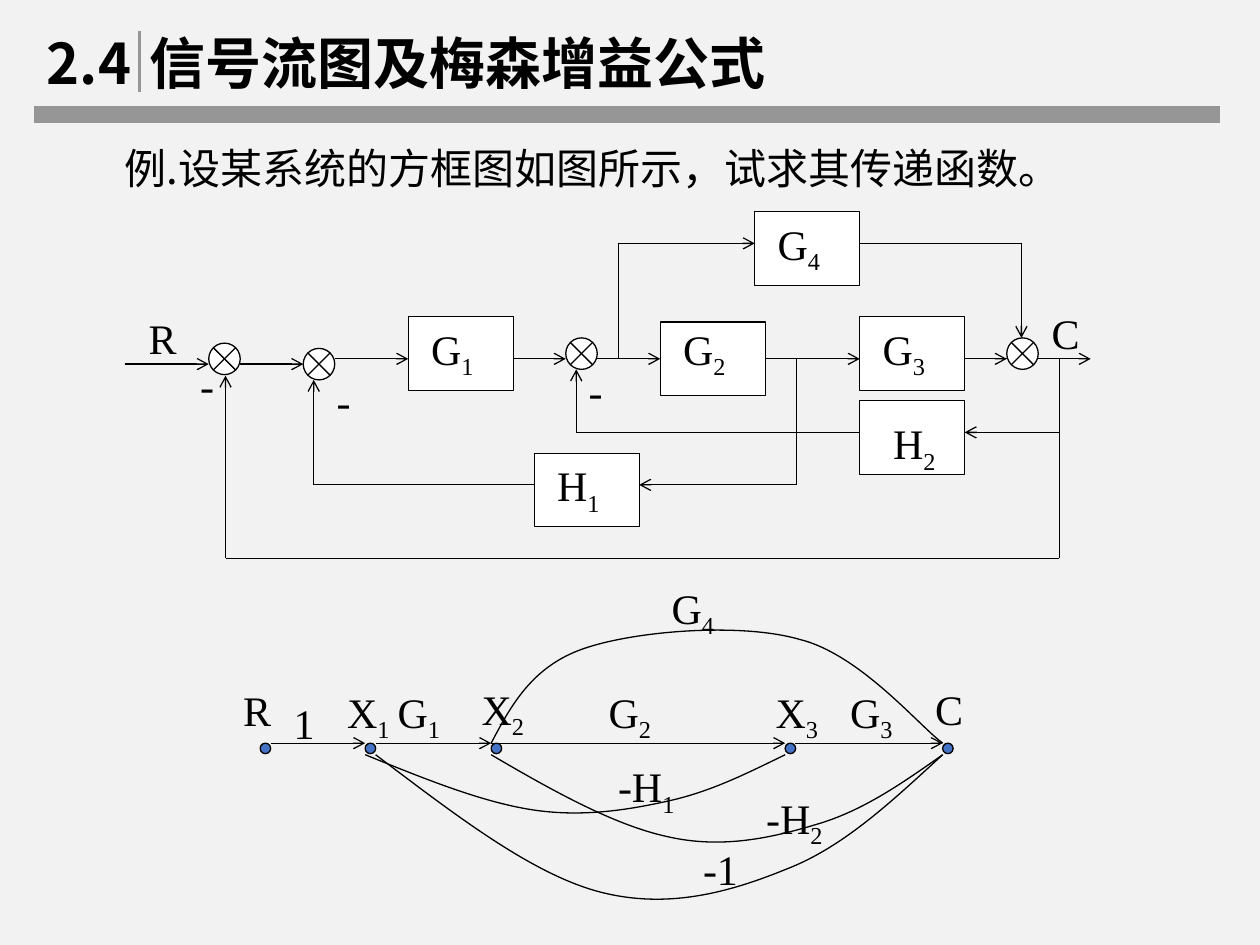
from lxml import etree
from pptx import Presentation
from pptx.dml.color import RGBColor
from pptx.enum.shapes import MSO_CONNECTOR, MSO_SHAPE
from pptx.enum.text import MSO_ANCHOR, MSO_AUTO_SIZE
from pptx.oxml.ns import qn
from pptx.util import Inches, Pt

STRAIGHT = MSO_CONNECTOR.STRAIGHT
RECTANGLE = MSO_SHAPE.RECTANGLE
JUNCTION = MSO_SHAPE.FLOWCHART_SUMMING_JUNCTION
NODE = MSO_SHAPE.FLOWCHART_CONNECTOR
TOP, MIDDLE = MSO_ANCHOR.TOP, MSO_ANCHOR.MIDDLE
GROW, FIXED = MSO_AUTO_SIZE.SHAPE_TO_FIT_TEXT, MSO_AUTO_SIZE.NONE

COLORS = {"back": "F2F2F2", "ink": "000000", "rule": "969696",
          "block": "FFFFFF", "node": "4472C4"}
CELLS_PER_INCH = 12
LEFT_MARGIN, TOP_MARGIN = -0.01, 0.015
NODE_ROW = 70.6
HAN, ROMAN = "Noto Sans CJK SC", "Times New Roman"
TITLE = {"size": Pt(32), "name": HAN, "bold": True}
BODY = {"size": Pt(24), "name": HAN}
SYMBOL = {"size": Pt(24), "name": ROMAN}

WIRES = [
    [(12, 34.5), (20, 34.5)],
    [(23, 34.5), (29, 34.5)],
    [(32, 34), (39, 34)],
    [(49, 34), (54, 34)],
    [(57, 34), (63, 34)],
    [(73, 34), (82, 34)],
    [(92, 34), (96, 34)],
    [(92, 34), (104, 34)],
    [(59, 34), (59, 23), (72, 23)],
    [(82, 23), (97.4, 23), (97.4, 32)],
    [(76, 34), (76, 46), (61, 46)],
    [(51, 46), (30, 46), (30, 36)],
    [(101, 34), (101, 41), (92, 41)],
    [(82, 41), (55, 41), (55, 35)],
    [(101, 41), (101, 53), (21.6, 53), (21.6, 35.6)],
]
BLOCKS = [(39, 30), (63, 30.5), (82, 30), (72, 20), (51, 43), (82, 38)]
JUNCTIONS = [(20, 32.5), (29, 33), (54, 32), (96, 32)]
NODES = [24.9, 34.9, 46.9, 74.9, 89.9]
EDGES = [(25.9, 34.9), (35.9, 46.9), (46.9, 74.9), (75.8, 89.9)]
CURVES = [
    [(46.9, 70.6), (48.8, 67), (50.8, 63.3), (55.7, 61.6), (60.6, 59.9),
     (70.6, 59.1), (76.2, 60.7), (82, 62.1), (87.6, 68.9), (89.9, 70.6)],
    [(89.9, 71.7), (85.2, 76), (80.5, 80.5), (75, 82.6), (69.6, 84.8),
     (63.6, 86.5), (57, 84.7), (50.5, 82.9), (43.2, 77.2), (35.9, 71.7)],
    [(89.9, 71.7), (86.2, 74.3), (82.4, 77), (78, 78.3), (73.7, 79.6),
     (68.9, 80.7), (63.7, 79.5), (58.6, 78.4), (52.7, 75.1), (46.9, 71.7)],
    [(74.9, 71.7), (71.4, 73.4), (67.9, 75.2), (63.8, 76.1), (59.8, 77),
     (55.3, 77.7), (50.5, 76.9), (45.7, 76.1), (40.3, 73.9), (34.9, 71.7)],
]
SYMBOLS = [
    ("R", 13.1, 29, 9), ("C", 99.1, 28.5, 9),
    ("-", 18, 33.5, 6), ("-", 31, 35, 6), ("-", 55, 34, 6),
    ("G_1", 40, 30, 9), ("G_2", 64, 30, 8), ("G_3", 83, 30, 9),
    ("G_4", 73, 20, 9), ("H_1", 52, 43, 9), ("H_2", 84, 39, 9),
    ("R", 22.1, 64.4, 10), ("1", 26.9, 65.7, 4), ("C", 88, 64.3, 12),
    ("X_1", 32, 64.6, 10), ("X_2", 44.8, 64.3, 10), ("X_3", 72.8, 64.6, 10),
    ("G_1", 36.8, 64.6, 9), ("G_2", 56.9, 64.6, 7), ("G_3", 79.9, 64.6, 7),
    ("G_4", 62.9, 54.7, 11), ("-H_1", 57.8, 71.7, 9),
    ("-H_2", 71.9, 74.7, 10), ("-1", 65.9, 79.6, 11),
]


def color(name):
    """Return the named colour."""
    return RGBColor.from_string(COLORS[name])


def span_of(cells):
    """Return the length of a number of grid cells."""
    return Inches(cells / CELLS_PER_INCH)


def spot(column, row):
    """Return the slide position of a grid point."""
    return (span_of(column) + Inches(LEFT_MARGIN),
            span_of(row) + Inches(TOP_MARGIN))


def set_line(item, name="ink", width=0.75):
    """Set the colour and width of an outline."""
    item.line.color.rgb = color(name)
    item.line.width = Pt(width)


def add_line(page, start, end, arrow=False, name="ink", width=0.75):
    """Draw a straight line, with an open arrowhead if asked."""
    line = page.shapes.add_connector(STRAIGHT, *spot(*start), *spot(*end))
    set_line(line, name, width)
    if arrow:
        outline = line.line._get_or_add_ln()
        etree.SubElement(outline, qn("a:tailEnd"), type="arrow")
    etree.SubElement(line._element.spPr, qn("a:effectLst"))


def add_wire(page, route):
    """Draw a route of straight lines that ends in an arrowhead."""
    for start, end in zip(route, route[1:]):
        add_line(page, start, end, arrow=end == route[-1])


def add_figure(page, kind, place, size, fill):
    """Draw a filled preset shape."""
    figure = page.shapes.add_shape(kind, *spot(*place), *map(span_of, size))
    figure.shadow.inherit = False
    figure.fill.solid()
    figure.fill.fore_color.rgb = color(fill)
    set_line(figure)


def add_curve(page, points):
    """Draw a chain of cubic curves through every third point."""
    start, *rest = [spot(*point) for point in points]
    builder = page.shapes.build_freeform(*start)
    builder.add_line_segments(rest, close=False)
    curve = builder.convert_to_shape()
    curve.shadow.inherit = False
    curve.fill.background()
    set_line(curve)
    steps = list(curve._element.iter(qn("a:lnTo")))
    for first, second, third in zip(steps[::3], steps[1::3], steps[2::3]):
        first.tag = qn("a:cubicBezTo")
        for step in (second, third):
            first.append(step[0])
            step.getparent().remove(step)


def add_text(page, text, place, size, style, anchor=TOP, fit=GROW):
    """Write one line of text; a part after an underscore is a subscript."""
    box = page.shapes.add_textbox(*spot(*place), *map(span_of, size))
    frame = box.text_frame
    settings = {"word_wrap": True, "vertical_anchor": anchor, "auto_size": fit}
    for key, value in settings.items():
        setattr(frame, key, value)
    para = frame.paragraphs[0]
    for index, part in enumerate(text.split("_")):
        span = para.add_run()
        span.text = part
        for key, value in style.items():
            setattr(span.font, key, value)
        span.font.color.rgb = color("ink")
        properties = span._r.get_or_add_rPr()
        etree.SubElement(properties, qn("a:ea"), typeface=style["name"])
        if index:
            properties.set("baseline", "-25000")


def add_heading(page):
    """Write the section number, the title and the example."""
    add_text(page, "例.设某系统的方框图如图所示，试求其传递函数。",
             (10.8, 12.8), (100.3, 6), BODY)
    for text, column, width in (("2.4", 3.4, 11.4),
                                ("信号流图及梅森增益公式", 13.2, 102)):
        add_text(page, text, (column, -1.74), (width, 15), TITLE, MIDDLE, FIXED)
    add_line(page, (3.4, 10.74), (116.3, 10.74), name="rule", width=10)
    add_line(page, (13.4, 2.8), (13.4, 8.6), name="rule", width=2)


def main():
    """Build the slide and save it."""
    deck = Presentation()
    deck.slide_width, deck.slide_height = Inches(10), Inches(7.5)
    page = deck.slides.add_slide(deck.slide_layouts[6])
    page.background.fill.solid()
    page.background.fill.fore_color.rgb = color("back")
    add_heading(page)
    for route in WIRES:
        add_wire(page, route)
    for place in BLOCKS:
        add_figure(page, RECTANGLE, place, (10, 7), "block")
    for place in JUNCTIONS:
        add_figure(page, JUNCTION, place, (3, 3), "block")
    for start, end in EDGES:
        add_wire(page, [(start, NODE_ROW), (end, NODE_ROW)])
    for column in NODES:
        add_figure(page, NODE, (column, NODE_ROW), (1, 1), "node")
    for points in CURVES:
        add_curve(page, points)
    for text, column, row, width in SYMBOLS:
        height = 6.7 if "_" in text else 6
        add_text(page, text, (column, row), (width, height), SYMBOL)
    deck.save("out.pptx")


if __name__ == "__main__":
    main()
